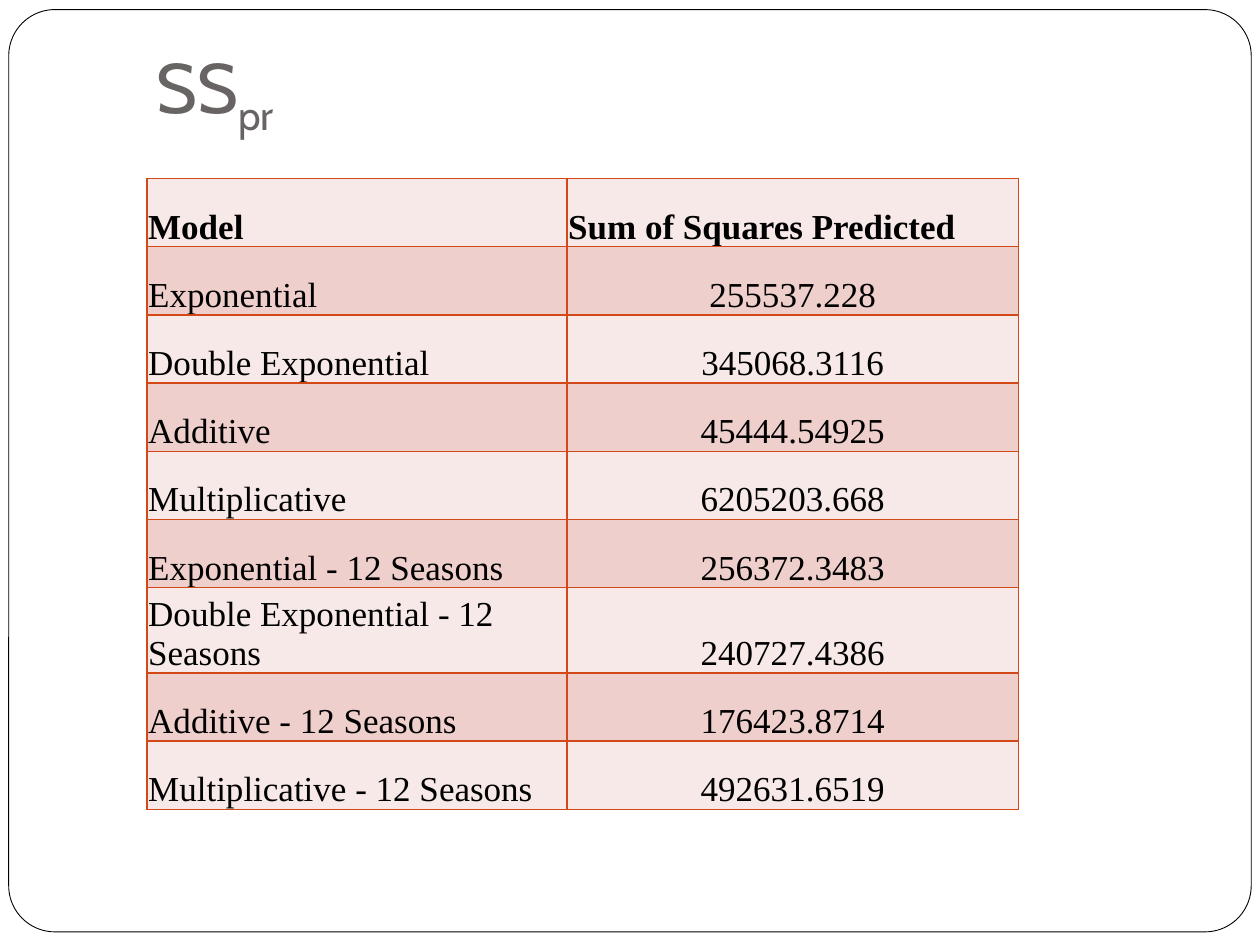
from pptx import Presentation
from pptx.dml.color import RGBColor
from pptx.enum import shapes, text
from pptx.oxml import parse_xml
from pptx.oxml.ns import nsdecls
from pptx.util import Pt

ROWS = [
    ("Model", "Sum of Squares Predicted"),
    ("Exponential", "255537.228"),
    ("Double Exponential", "345068.3116"),
    ("Additive", "45444.54925"),
    ("Multiplicative", "6205203.668"),
    ("Exponential - 12 Seasons", "256372.3483"),
    ("Double Exponential - 12 Seasons", "240727.4386"),
    ("Additive - 12 Seasons", "176423.8714"),
    ("Multiplicative - 12 Seasons", "492631.6519"),
]
COL_WIDTHS = [240, 258]
ROW_HEIGHT, WRAPPED_ROW, WRAPPED_HEIGHT = 39, 6, 41

WHITE = RGBColor(0xFF, 0xFF, 0xFF)
BLACK = RGBColor(0, 0, 0)
GREY = RGBColor(0x69, 0x64, 0x64)
BORDER = RGBColor(0xD3, 0x48, 0x17)
BANDS = [RGBColor(0xF7, 0xE9, 0xE8), RGBColor(0xEF, 0xCF, 0xCC)]


def add_borders(cell):
    """Draw a 1 pt line on all four sides; call before setting the fill."""
    tc_pr = cell._tc.get_or_add_tcPr()
    for side in "LRTB":
        tc_pr.append(parse_xml(
            f'<a:ln{side} {nsdecls("a")} w="{Pt(1)}"><a:solidFill>'
            f'<a:srgbClr val="{BORDER}"/></a:solidFill></a:ln{side}>'))


def add_frame(slide):
    sp = slide.shapes.add_shape(shapes.MSO_SHAPE.ROUNDED_RECTANGLE,
                                Pt(5), Pt(5.5), Pt(710), Pt(527))
    sp.adjustments[0] = 0.05
    sp.shadow.inherit = False
    sp.fill.solid()
    sp.fill.fore_color.rgb = WHITE
    sp.line.color.rgb = BLACK
    sp.line.width = Pt(0.5)


def add_title(slide):
    tf = slide.shapes.add_textbox(Pt(18), Pt(18), Pt(210), Pt(68.4)).text_frame
    tf.word_wrap = True
    tf.vertical_anchor = text.MSO_ANCHOR.BOTTOM
    tf.margin_bottom = Pt(7.2)
    p = tf.paragraphs[0]
    p.alignment = text.PP_ALIGN.CENTER
    for words in ("SS", "pr"):
        r = p.add_run()
        r.text = words
        r.font.name, r.font.size = "Cabin", Pt(40)
        r.font.color.rgb = GREY
    r._r.get_or_add_rPr().set("baseline", "-25000")


def fill_cell(cell, words, row, col):
    add_borders(cell)
    cell.fill.solid()
    cell.fill.fore_color.rgb = BANDS[row % 2]
    cell.vertical_anchor = text.MSO_ANCHOR.BOTTOM
    cell.margin_left = cell.margin_right = cell.margin_top = Pt(0.7)
    cell.margin_bottom = 0
    cell.text = words
    p = cell.text_frame.paragraphs[0]
    centred = row > 0 and col == 1
    p.alignment = text.PP_ALIGN.CENTER if centred else text.PP_ALIGN.LEFT
    p.font.name, p.font.size = "Times New Roman", Pt(20)
    p.font.bold = row == 0
    p.font.color.rgb = BLACK


def add_model_table(slide):
    heights = [ROW_HEIGHT] * len(ROWS)
    heights[WRAPPED_ROW] = WRAPPED_HEIGHT
    table = slide.shapes.add_table(
        len(ROWS), len(COL_WIDTHS), Pt(84), Pt(102),
        Pt(sum(COL_WIDTHS)), Pt(sum(heights))).table
    for column, width in zip(table.columns, COL_WIDTHS):
        column.width = Pt(width)
    for row, (values, height) in enumerate(zip(ROWS, heights)):
        table.rows[row].height = Pt(height)
        for col, words in enumerate(values):
            fill_cell(table.cell(row, col), words, row, col)


def main():
    prs = Presentation()
    prs.slide_width, prs.slide_height = Pt(720), Pt(540)
    slide = prs.slides.add_slide(prs.slide_layouts[6])
    add_frame(slide)
    add_title(slide)
    add_model_table(slide)
    prs.save("out.pptx")


if __name__ == "__main__":
    main()
